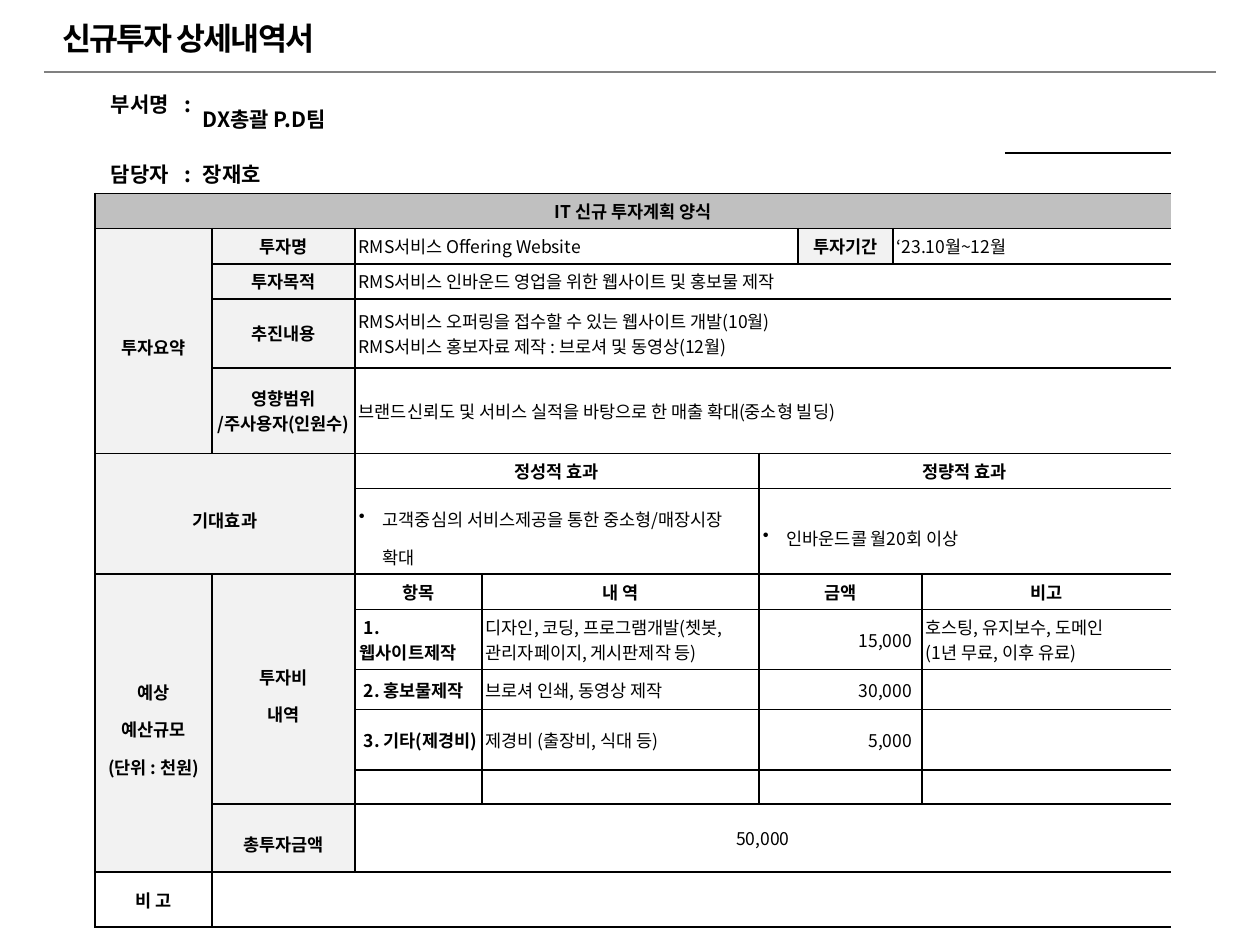
from lxml.etree import SubElement
from pptx import Presentation
from pptx.dml.color import RGBColor
from pptx.enum.shapes import MSO_CONNECTOR
from pptx.enum.text import MSO_ANCHOR, PP_ALIGN
from pptx.oxml.ns import qn
from pptx.util import Pt

EMU_PER_PX = 914400 / 126
FONT = "Noto Sans CJK KR"
NO_STYLE_NO_GRID = "{2D5ABB26-0587-4C30-8999-92F81FD0307C}"
BLACK, GRAY, SILVER, PALE, WHITE = "000000", "808080", "C0C0C0", "F2F2F2", "FFFFFF"

COLUMNS = [104, 13, 143, 127, 74, 203, 39, 95, 29, 83, 166]
ROWS = [70, 39, 35, 34, 34, 69, 85, 34, 85, 34, 60, 40, 60, 34, 68, 55]

# Cell formats: differences from the default
DEFAULT = {"size": 10, "bold": False, "align": PP_ALIGN.LEFT, "spacing": 1.0,
           "anchor": MSO_ANCHOR.MIDDLE, "fill": WHITE, "edges": "LRTB",
           "margins": (4, 4), "indent": None, "bullet": None, "tab": None}
HEAD = {"bold": True, "align": PP_ALIGN.CENTER}
FORMATS = {
    "text": {},
    "head": HEAD,
    "label": HEAD | {"fill": PALE},
    "group": HEAD | {"fill": PALE, "spacing": 1.5},
    "banner": HEAD | {"fill": SILVER},
    "item": {"bold": True, "indent": (0, 4), "margins": (5, 4)},
    "bullet": {"spacing": 1.5, "indent": (24, -24), "bullet": "•"},
    "amount": {"align": PP_ALIGN.RIGHT, "margins": (4, 10)},
    "total": {"align": PP_ALIGN.CENTER},
    "field": {"size": 12, "bold": True, "fill": None, "edges": "",
              "anchor": MSO_ANCHOR.TOP, "margins": (16, 2), "tab": 74},
    "team": {"size": 12, "bold": True, "fill": None, "edges": ""},
    "person": {"size": 12, "bold": True, "fill": None, "edges": "B",
               "anchor": MSO_ANCHOR.TOP},
    "rule": {"fill": None, "edges": "B"},
    "double rule": {"fill": None, "edges": "TB"},
}

# row, column, rows spanned, columns spanned, format, paragraphs
CELLS = [
    (0, 0, 1, 1, "field", "부서명\t:"),
    (0, 1, 1, 10, "team", "DX총괄 P.D팀"),
    (1, 0, 1, 1, "field", "담당자\t:"),
    (1, 1, 1, 4, "person", "장재호"),
    (1, 5, 1, 1, "rule"),
    (1, 6, 1, 2, "rule"),
    (1, 8, 1, 2, "rule"),
    (1, 10, 1, 1, "double rule"),
    (2, 0, 1, 11, "banner", "IT 신규 투자계획 양식"),
    # Investment summary
    (3, 0, 4, 2, "group", "투자요약"),
    (3, 2, 1, 1, "label", "투자명"),
    (3, 3, 1, 4, "text", "RMS서비스 Offering Website"),
    (3, 7, 1, 1, "label", "투자기간"),
    (3, 8, 1, 3, "text", "‘23.10월~12월"),
    (4, 2, 1, 1, "label", "투자목적"),
    (4, 3, 1, 8, "text", "RMS서비스 인바운드 영업을 위한 웹사이트 및 홍보물 제작"),
    (5, 2, 1, 1, "label", "추진내용"),
    (5, 3, 1, 8, "text", "RMS서비스 오퍼링을 접수할 수 있는 웹사이트 개발(10월)",
     "RMS서비스 홍보자료 제작 : 브로셔 및 동영상(12월)"),
    (6, 2, 1, 1, "label", "영향범위\n/주사용자(인원수)"),
    (6, 3, 1, 8, "text", "브랜드신뢰도 및 서비스 실적을 바탕으로 한 매출 확대(중소형 빌딩)"),
    # Expected effects
    (7, 0, 2, 3, "group", "기대효과"),
    (7, 3, 1, 3, "head", "정성적 효과"),
    (7, 6, 1, 5, "head", "정량적 효과"),
    (8, 3, 1, 3, "bullet", "고객중심의 서비스제공을 통한 중소형/매장시장 확대"),
    (8, 6, 1, 5, "bullet", "인바운드콜 월20회 이상"),
    # Budget
    (9, 0, 6, 2, "group", "예상\n예산규모", "(단위 : 천원)"),
    (9, 2, 5, 1, "group", "투자비\n내역"),
    (14, 2, 1, 1, "group", "총투자금액"),
    (14, 3, 1, 8, "total", "50,000"),
    (15, 0, 1, 2, "head", "비 고"),
    (15, 2, 1, 9, "text"),
]

# Budget lines: item, details, amount, remarks
BUDGET_FIRST_ROW = 9
BUDGET_COLUMNS = [(3, 1, "item"), (4, 2, "text"), (6, 3, "amount"), (9, 2, "text")]
BUDGET = [
    (["항목"], ["내 역"], ["금액"], ["비고"]),
    (["1. 웹사이트제작"], ["디자인, 코딩, 프로그램개발(쳇봇,관리자페이지, 게시판제작 등)"],
     ["15,000"], ["호스팅, 유지보수, 도메인", "(1년 무료, 이후 유료)"]),
    (["2. 홍보물제작"], ["브로셔 인쇄, 동영상 제작"], ["30,000"], []),
    (["3. 기타(제경비)"], ["제경비 (출장비, 식대 등)"], ["5,000"], []),
    ([], [], [], []),
]


def px(length):
    return round(length * EMU_PER_PX)


def color(value):
    return RGBColor.from_string(value)


class SlideBuilder:
    def __init__(self, slide):
        self.slide = slide

    def style_run(self, run, size, bold):
        for name, value in {"name": FONT, "size": Pt(size), "bold": bold}.items():
            setattr(run.font, name, value)
        run.font.color.rgb = color(BLACK)
        SubElement(run.font._element, qn("a:ea"), typeface=FONT)

    def title(self, text, left, top, width, height):
        shape = self.slide.shapes.title
        box = {"left": left, "top": top, "width": width, "height": height}
        for name, value in box.items():
            setattr(shape, name, px(value))
        frame = shape.text_frame
        for side in ("left", "right", "top", "bottom"):
            setattr(frame, f"margin_{side}", 0)
        frame.vertical_anchor = MSO_ANCHOR.MIDDLE
        paragraph = frame.paragraphs[0]
        paragraph.alignment = PP_ALIGN.LEFT
        paragraph.line_spacing = 1.0
        run = paragraph.add_run()
        run.text = text
        self.style_run(run, 18, True)
        run.font._element.set("spc", "-100")

    def line(self, left, right, y, stroke, width):
        line = self.slide.shapes.add_connector(
            MSO_CONNECTOR.STRAIGHT, px(left), px(y), px(right), px(y))
        line.line.color.rgb = color(stroke)
        line.line.width = Pt(width)
        SubElement(line._element.spPr, qn("a:effectLst"))

    def table(self, left, top, columns, rows):
        table = self.slide.shapes.add_table(
            len(rows), len(columns), px(left), px(top),
            px(sum(columns)), px(sum(rows))).table
        table.first_row = table.horz_banding = False
        table._tbl.tblPr.find(qn("a:tableStyleId")).text = NO_STYLE_NO_GRID
        for column, width in zip(table.columns, columns):
            column.width = px(width)
        for row, height in zip(table.rows, rows):
            row.height = px(height)
        return table

    def cell(self, table, row, column, row_span, column_span, kind, *texts):
        style = DEFAULT | FORMATS[kind]
        bottom, right = row + row_span - 1, column + column_span - 1
        origin = table.cell(row, column)
        if row_span * column_span > 1:
            origin.merge(table.cell(bottom, right))
        for r in range(row, bottom + 1):
            for c in range(column, right + 1):
                outer = {"L": c == column, "R": c == right, "T": r == row, "B": r == bottom}
                part = table.cell(r, c)
                self.borders(part, [e for e in outer if outer[e] and e in style["edges"]])
                if style["fill"]:
                    part.fill.solid()
                    part.fill.fore_color.rgb = color(style["fill"])
                margins = zip(("left", "right", "top", "bottom"), (*style["margins"], 5, 5))
                for side, value in margins:
                    setattr(part, f"margin_{side}", px(value))
                part.vertical_anchor = style["anchor"]
                if part is not origin and (r, c) != (row, column) or not texts:
                    SubElement(part.text_frame.paragraphs[0]._p, qn("a:endParaRPr"), sz="1000")
        for index, text in enumerate(texts):
            frame = origin.text_frame
            paragraph = frame.add_paragraph() if index else frame.paragraphs[0]
            self.paragraph(paragraph, text, style)

    def borders(self, cell, edges):
        properties = cell._tc.get_or_add_tcPr()
        for edge in edges:
            line = SubElement(properties, qn(f"a:ln{edge}"), w=str(Pt(1)))
            SubElement(SubElement(line, qn("a:solidFill")), qn("a:srgbClr"), val=BLACK)

    def paragraph(self, paragraph, text, style):
        paragraph.alignment = style["align"]
        paragraph.line_spacing = style["spacing"]
        properties = paragraph._p.get_or_add_pPr()
        if style["indent"]:
            for name, value in zip(("marL", "indent"), style["indent"]):
                properties.set(name, str(px(value)))
        if style["bullet"]:
            SubElement(properties, qn("a:buChar"), char=style["bullet"])
        if style["tab"]:
            tabs = SubElement(properties, qn("a:tabLst"))
            SubElement(tabs, qn("a:tab"), pos=str(px(style["tab"])), algn="l")
        for index, part in enumerate(text.split("\n")):
            if index:
                paragraph.add_line_break()
            run = paragraph.add_run()
            run.text = part
            self.style_run(run, style["size"], style["bold"])


def main():
    presentation = Presentation()
    presentation.slide_width, presentation.slide_height = px(1260), px(945)
    slide = presentation.slides.add_slide(presentation.slide_layouts[5])
    builder = SlideBuilder(slide)

    # Heading
    builder.line(44, 1216, 72, GRAY, 1.5)
    builder.title("신규투자 상세내역서", 62, 20, 513, 35)

    # Investment form
    table = builder.table(95, 83, COLUMNS, ROWS)
    for cell in CELLS:
        builder.cell(table, *cell)
    for row, entries in enumerate(BUDGET, BUDGET_FIRST_ROW):
        for (column, span, kind), texts in zip(BUDGET_COLUMNS, entries):
            kind = "head" if row == BUDGET_FIRST_ROW else kind
            builder.cell(table, row, column, 1, span, kind, *texts)

    presentation.save("out.pptx")


if __name__ == "__main__":
    main()
